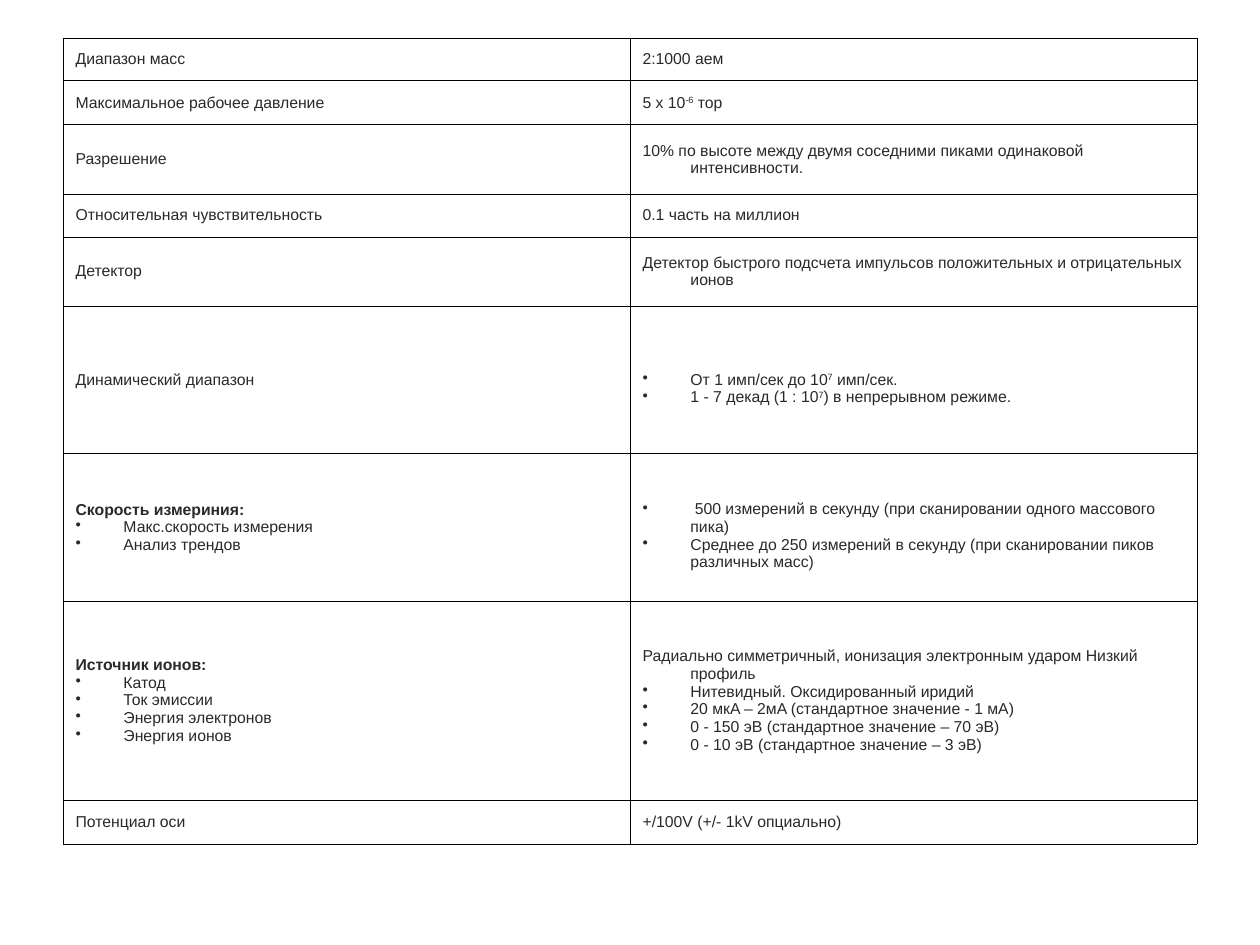
from dataclasses import dataclass

from lxml.etree import SubElement as Sub
from pptx import Presentation
from pptx.dml.color import RGBColor as Rgb
from pptx.enum.text import MSO_ANCHOR as Anchor
from pptx.oxml.ns import qn
from pptx.util import Inches, Pt


@dataclass(frozen=True)
class Theme:
    font: str = "Arial"
    size: float = 9
    ink: str = "292929"
    paper: str = "FFFFFF"
    rule: str = "000000"
    width: float = 0.34
    indent: float = 0.38
    pad: float = 0.05
    line: float = 0.14


@dataclass(frozen=True)
class Entry:
    lines: tuple[str, ...]
    drop: int = 0


@dataclass(frozen=True)
class Row:
    height: float
    label: Entry
    value: Entry


THEME = Theme()
BULLET = "• "
RAISE = "^"
HEAD = "*"


def entry(*lines: str, drop: int = 0) -> Entry:
    return Entry(lines, drop)


ROWS = (
    Row(0.34, entry("Диапазон масс"), entry("2:1000 аем")),
    Row(0.35, entry("Максимальное рабочее давление"), entry("5 x 10^-6^ тор")),
    Row(0.55, entry("Разрешение"),
        entry("10% по высоте между двумя соседними пиками одинаковой интенсивности.")),
    Row(0.34, entry("Относительная чувствительность"), entry("0.1 часть на миллион")),
    Row(0.55, entry("Детектор"),
        entry("Детектор быстрого подсчета импульсов положительных и отрицательных ионов")),
    Row(1.17, entry("Динамический диапазон"),
        entry("• От 1 имп/сек до 10^7^ имп/сек.",
              "• 1 - 7 декад (1 : 10^7^) в непрерывном режиме.", drop=1)),
    Row(1.17, entry("*Скорость измериния:", "• Макс.скорость измерения", "• Анализ трендов"),
        entry("•  500 измерений в секунду (при сканировании одного массового пика)",
              "• Среднее до 250 измерений в секунду (при сканировании пиков различных масс)",
              drop=1)),
    Row(1.58, entry("*Источник ионов:", "• Катод", "• Ток эмиссии",
                    "• Энергия электронов", "• Энергия ионов"),
        entry("Радиально симметричный, ионизация электронным ударом Низкий профиль",
              "• Нитевидный. Оксидированный иридий",
              "• 20 мкA – 2мA (стандартное значение - 1 мA)",
              "• 0 - 150 эВ (стандартное значение – 70 эВ)",
              "• 0 - 10 эВ (стандартное значение – 3 эВ)")),
    Row(0.35, entry("Потенциал оси"), entry("+/100V (+/- 1kV опциально)")),
)


def tint(node, color: str) -> None:
    Sub(node, qn("a:srgbClr"), val=color)


def frame(cell) -> None:
    props = cell._tc.get_or_add_tcPr()
    for side in ("lnL", "lnR", "lnT", "lnB"):
        edge = Sub(props, qn(f"a:{side}"), w=str(Pt(THEME.width)))
        tint(Sub(edge, qn("a:solidFill")), THEME.rule)
    cell.fill.solid()
    cell.fill.fore_color.rgb = Rgb.from_string(THEME.paper)


def write(para, line: str) -> None:
    props = para._p.get_or_add_pPr()
    props.set("marL", str(Inches(THEME.indent)))
    props.set("indent", str(-Inches(THEME.indent)))
    if line.startswith(BULLET):
        tint(Sub(props, qn("a:buClr")), THEME.ink)
        Sub(props, qn("a:buChar"), char=BULLET.strip())
    else:
        Sub(props, qn("a:buNone"))
    text = line.removeprefix(BULLET).removeprefix(HEAD)
    for index, part in enumerate(text.split(RAISE)):
        run = para.add_run()
        run.text = part
        font = run.font
        font.name = THEME.font
        font.size = Pt(THEME.size)
        font.bold = line.startswith(HEAD)
        font.color.rgb = Rgb.from_string(THEME.ink)
        if index % 2:
            run._r.get_or_add_rPr().set("baseline", "30000")


def fill(cell, item: Entry) -> None:
    frame(cell)
    cell.vertical_anchor = Anchor.MIDDLE
    cell.margin_left = cell.margin_right = Inches(0.1)
    cell.margin_top = Inches(THEME.pad + item.drop * THEME.line)
    cell.margin_bottom = Inches(THEME.pad)
    body = cell.text_frame
    for index, line in enumerate(item.lines):
        write(body.add_paragraph() if index else body.paragraphs[0], line)


def main() -> None:
    deck = Presentation()
    deck.slide_width, deck.slide_height = Inches(10), Inches(7.5)
    slide = deck.slides.add_slide(deck.slide_layouts[6])
    total = sum(row.height for row in ROWS)
    table = slide.shapes.add_table(
        len(ROWS), 2, Inches(0.5), Inches(0.3), Inches(9), Inches(total)).table
    table.first_row = table.horz_banding = False
    for index, row in enumerate(ROWS):
        table.rows[index].height = Inches(row.height)
        fill(table.cell(index, 0), row.label)
        fill(table.cell(index, 1), row.value)
    deck.save("out.pptx")


if __name__ == "__main__":
    main()
